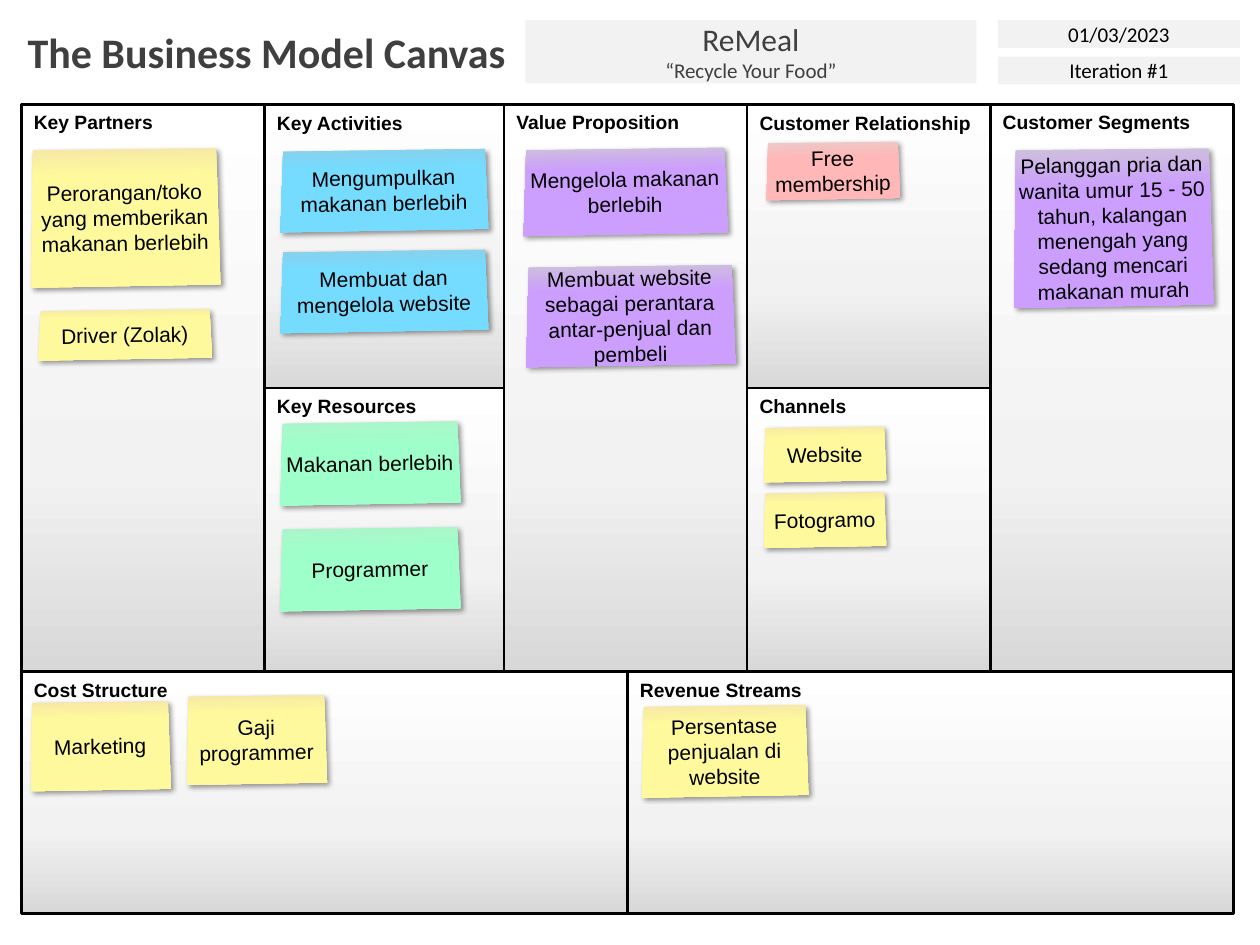
from dataclasses import dataclass

from lxml import etree
from pptx import Presentation
from pptx.dml.color import RGBColor
from pptx.enum.shapes import MSO_SHAPE
from pptx.enum.text import MSO_ANCHOR, MSO_AUTO_SIZE, PP_ALIGN
from pptx.oxml.ns import qn
from pptx.util import Inches, Pt

RECTANGLE = MSO_SHAPE.RECTANGLE
ROUNDED = MSO_SHAPE.ROUNDED_RECTANGLE
TOP, MIDDLE = MSO_ANCHOR.TOP, MSO_ANCHOR.MIDDLE
LEFT, CENTER = PP_ALIGN.LEFT, PP_ALIGN.CENTER
GROW = MSO_AUTO_SIZE.SHAPE_TO_FIT_TEXT


@dataclass(frozen=True)
class Theme:
    head_font: str = "Calibri"
    body_font: str = "Arial"
    black: str = "000000"
    gray: str = "3F3F3F"
    band: str = "F2F2F2"
    title_size: int = 24
    name_size: int = 18
    small_size: int = 12
    panel_size: int = 11
    panel: tuple = ((0, "D8D8D8"), (35, "F2F2F2"), (100, "FFFFFF"))
    yellow: tuple = ((0, "F6E7A6"), (21, "FEF99C"), (100, "FEF99C"))
    blue: tuple = ((0, "8BD0E9"), (25, "75DBFF"), (100, "75DBFF"))
    green: tuple = ((0, "ACF4CB"), (30, "9FFFCA"), (100, "9FFFCA"))
    purple: tuple = ((0, "CDC1DB"), (27, "CC9EFE"), (100, "CC9EFE"))
    pink: tuple = ((0, "EDC9C9"), (30, "FFB7B7"), (100, "FFB7B7"))


THEME = Theme()

# Canvas grid
COLUMNS = (0.17, 2.1, 4, 5.93, 7.86)
COLUMN_WIDTH = 1.93
CANVAS_TOP = 0.83
HALF = 2.25
MIDDLE_TOP = CANVAS_TOP + HALF
BOTTOM_TOP = MIDDLE_TOP + HALF
BOTTOM_WIDTH, BOTTOM_HEIGHT = 4.81, 1.92

# Heading, left, top, width, height, from back to front
PANELS = (
    ("Customer Segments", COLUMNS[4], CANVAS_TOP, COLUMN_WIDTH, 2 * HALF),
    ("Cost Structure", COLUMNS[0], BOTTOM_TOP, BOTTOM_WIDTH, BOTTOM_HEIGHT),
    ("Revenue Streams", COLUMNS[0] + BOTTOM_WIDTH, BOTTOM_TOP, BOTTOM_WIDTH, BOTTOM_HEIGHT),
    ("Key Partners", COLUMNS[0], CANVAS_TOP, COLUMN_WIDTH, 2 * HALF),
    ("Key Activities", COLUMNS[1], CANVAS_TOP, COLUMN_WIDTH, HALF),
    ("Key Resources", COLUMNS[1], MIDDLE_TOP, COLUMN_WIDTH, HALF),
    ("Value Proposition", COLUMNS[2], CANVAS_TOP, COLUMN_WIDTH, 2 * HALF),
    ("Customer Relationship", COLUMNS[3], CANVAS_TOP, COLUMN_WIDTH, HALF),
    ("Channels", COLUMNS[3], MIDDLE_TOP, COLUMN_WIDTH, HALF),
)

# Text, gradient, left, top, width, height
NOTES = (
    ("Perorangan/toko yang memberikan makanan berlebih", THEME.yellow, 0.24, 1.18, 1.5, 1.09),
    ("Mengumpulkan makanan berlebih", THEME.blue, 2.22, 1.19, 1.65, 0.64),
    ("Makanan berlebih", THEME.green, 2.22, 3.35, 1.43, 0.65),
    ("Mengelola makanan berlebih", THEME.purple, 4.15, 1.18, 1.62, 0.68),
    ("Pelanggan pria dan wanita umur 15 - 50 tahun, kalangan menengah yang "
     "sedang mencari makanan murah", THEME.purple, 8.04, 1.18, 1.58, 1.25),
    ("Free membership", THEME.pink, 6.08, 1.13, 1.06, 0.45),
    ("Website", THEME.yellow, 6.06, 3.39, 0.97, 0.43),
    ("Marketing", THEME.yellow, 0.24, 5.57, 1.11, 0.7),
    ("Persentase penjualan di website", THEME.yellow, 5.09, 5.6, 1.32, 0.72),
    ("Membuat website sebagai perantara antar-penjual dan pembeli",
     THEME.purple, 4.17, 2.11, 1.66, 0.79),
    ("Membuat dan mengelola website", THEME.blue, 2.22, 1.99, 1.65, 0.64),
    ("Programmer", THEME.green, 2.22, 4.19, 1.43, 0.65),
    ("Gaji programmer", THEME.yellow, 1.48, 5.52, 1.11, 0.7),
    ("Driver (Zolak)", THEME.yellow, 0.3, 2.46, 1.38, 0.39),
    ("Fotogramo", THEME.yellow, 6.06, 3.91, 0.97, 0.43),
)


def write(shape, lines, font, color, align=LEFT, anchor=TOP, bold=False, inset=None):
    """Write one paragraph for each (text, size) pair."""
    frame = shape.text_frame
    frame.word_wrap = True
    frame.vertical_anchor = anchor
    if inset is not None:
        frame.margin_left = frame.margin_right = Inches(inset)
        frame.margin_top = frame.margin_bottom = Inches(inset)
    for index, (text, size) in enumerate(lines):
        para = frame.add_paragraph() if index else frame.paragraphs[0]
        para.alignment = align
        span = para.add_run()
        span.text = text
        span.font.name = font
        span.font.size = Pt(size)
        span.font.bold = bold
        span.font.color.rgb = RGBColor.from_string(color)


def add_color(parent, color):
    return etree.SubElement(parent, qn("a:srgbClr"), val=color)


def fill_gradient(shape, stops, angle):
    shape.fill.gradient()
    shape.fill.gradient_angle = angle
    stop_list = shape.element.spPr.find(".//" + qn("a:gsLst"))
    for stop in list(stop_list):
        stop_list.remove(stop)
    for position, color in stops:
        add_color(etree.SubElement(stop_list, qn("a:gs"), pos=str(position * 1000)), color)


def add_soft_shadow(shape):
    shape.shadow.inherit = False
    effects = shape.element.spPr.find(qn("a:effectLst"))
    shadow = etree.SubElement(
        effects, qn("a:outerShdw"), blurRad=str(Pt(3)), dist=str(Pt(2)),
        dir="2700000", algn="tl", rotWithShape="0")
    etree.SubElement(add_color(shadow, THEME.black), qn("a:alpha"), val="40000")


def add_panel(page, heading, *place):
    panel = page.shapes.add_shape(ROUNDED, *map(Inches, place))
    panel.adjustments[0] = 0
    panel.shadow.inherit = False
    fill_gradient(panel, THEME.panel, 90)
    panel.line.color.rgb = RGBColor.from_string(THEME.black)
    panel.line.width = Pt(1.5)
    write(panel, [(heading, THEME.panel_size)], THEME.body_font, THEME.black, bold=True)


def add_title(page, text):
    box = page.shapes.add_textbox(Inches(0.12), Inches(0.16), Inches(4.01), Inches(0.5))
    write(box, [(text, THEME.title_size)], THEME.head_font, THEME.gray, bold=True)
    box.text_frame.word_wrap = False
    box.text_frame.auto_size = GROW


def add_band(page, lines, color, *place):
    band = page.shapes.add_shape(RECTANGLE, *map(Inches, place))
    band.shadow.inherit = False
    band.fill.solid()
    band.fill.fore_color.rgb = RGBColor.from_string(THEME.band)
    band.line.fill.background()
    write(band, lines, THEME.head_font, color, CENTER, MIDDLE)


def add_note(page, text, stops, left, top, width, height):
    """Add a slightly skewed, tilted sticky note."""
    corners = [(Inches(width * x), Inches(height * y))
               for x, y in ((0.02, 0), (0.99, 0.01), (1, 1), (0, 1))]
    outline = page.shapes.build_freeform(*corners[0])
    outline.add_line_segments(corners[1:], close=True)
    note = outline.convert_to_shape(Inches(left), Inches(top))
    note.rotation = 359
    fill_gradient(note, stops, 270)
    note.line.fill.background()
    add_soft_shadow(note)
    write(note, [(text, THEME.small_size)], THEME.body_font, THEME.black,
          CENTER, MIDDLE, inset=0.05)


def main():
    deck = Presentation()
    deck.slide_width, deck.slide_height = Inches(10), Inches(7.5)
    page = deck.slides.add_slide(deck.slide_layouts[6])

    # Canvas panels
    for panel in PANELS:
        add_panel(page, *panel)

    # Header
    add_title(page, "The Business Model Canvas")
    add_band(page, [("ReMeal", THEME.name_size),
                    ("“Recycle Your Food”", THEME.small_size)],
             THEME.gray, 4.17, 0.16, 3.58, 0.5)
    for text, top in (("01/03/2023", 0.16), ("Iteration #1", 0.45)):
        add_band(page, [(text, THEME.small_size)], THEME.black, 7.92, top, 1.92, 0.22)

    # Sticky notes
    for note in NOTES:
        add_note(page, *note)

    deck.save("out.pptx")


main()
